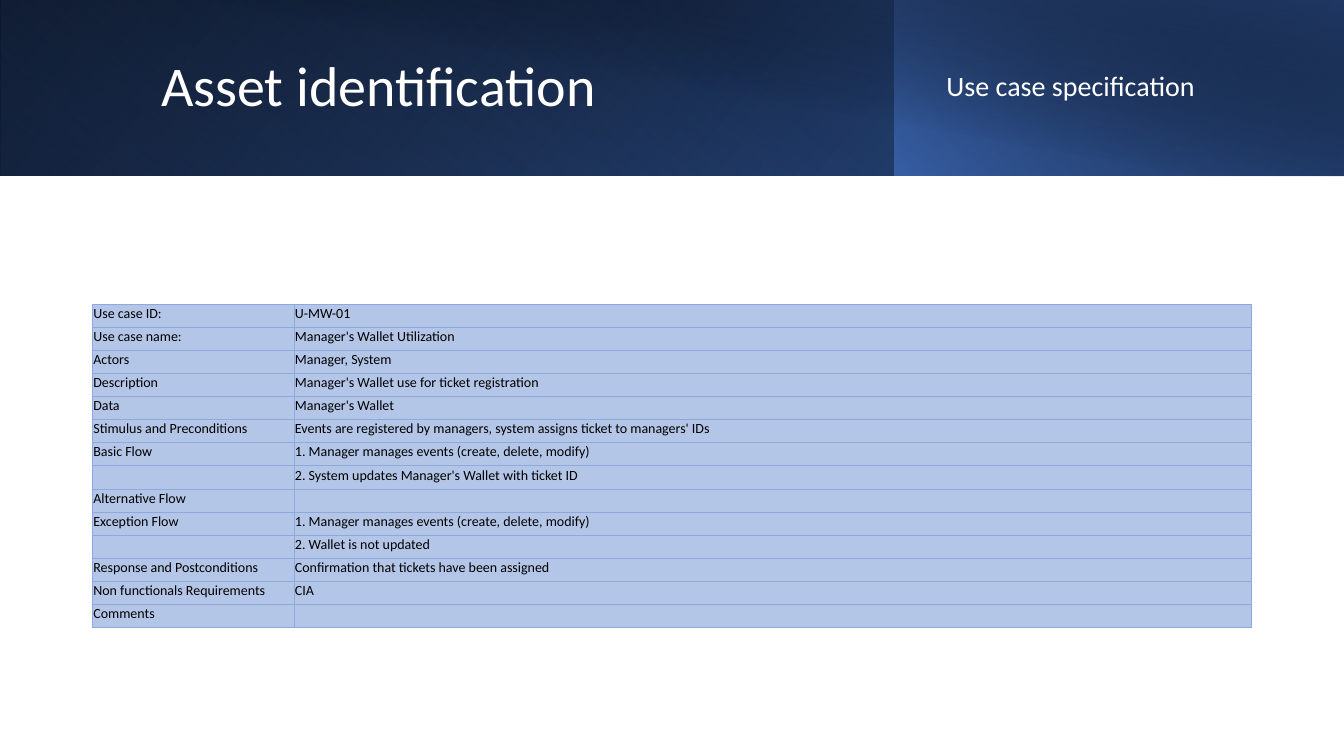
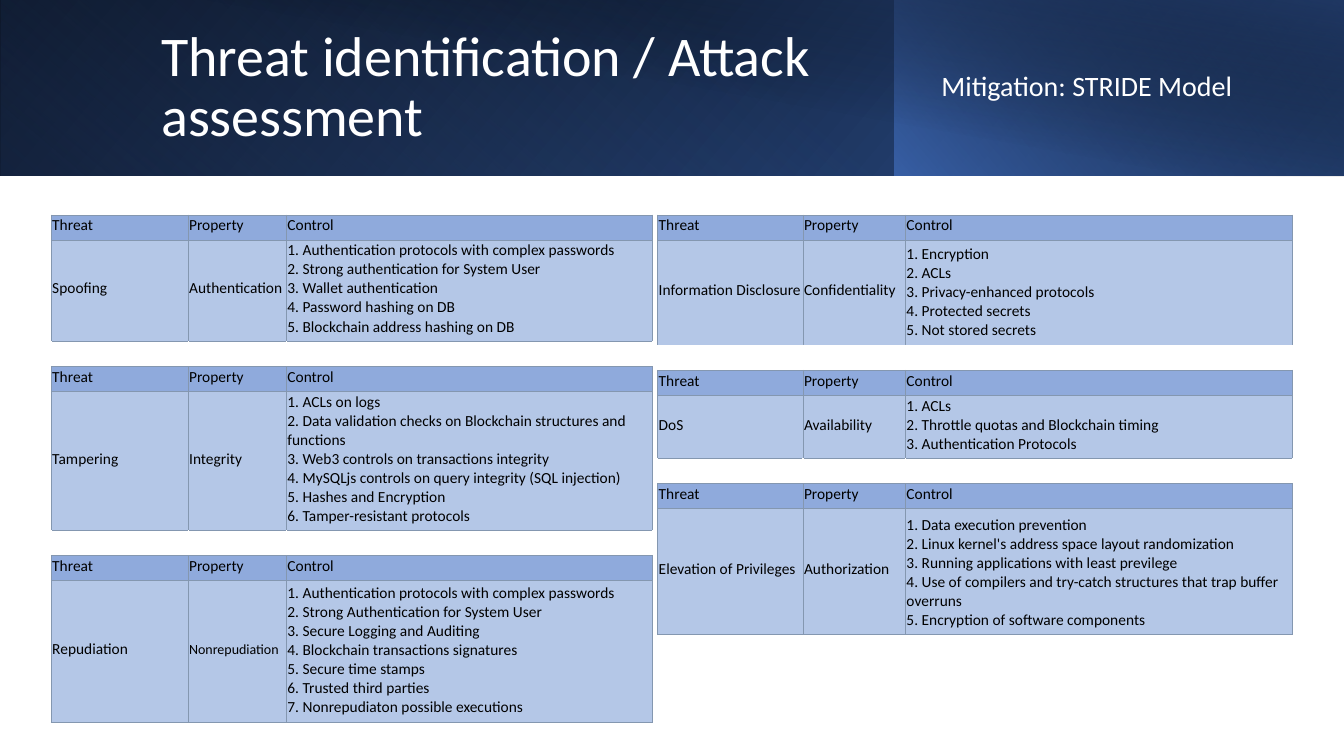
from lxml.etree import SubElement as Sub
from pptx import Presentation as Deck
from pptx.dml.color import RGBColor as Rgb
from pptx.enum.shapes import MSO_SHAPE as Geom
from pptx.enum.text import MSO_ANCHOR as Anchor, MSO_AUTO_SIZE as Auto, PP_ALIGN as Align
from pptx.oxml.ns import qn
from pptx.util import Emu, Inches, Pt

HUES = {
    "black": "000000", "white": "FFFFFF", "royal": "2F5597", "blue": "4472C4", "navy": "203864",
    "sky": "B4C6E7", "edge": "8EA9DB", "head": "8FAADC", "pale": "B4C7E7", "slate": "8497B0",
}
FONT = "Calibri"
COLS, ROWS = 160, 90
BAND, SPLIT = 20.9, 106.5
LINE = 2.95
BANDS = [
    ((0, 0, COLS, BAND), 140, 0, True, [(0, "black", 100), (100, "royal", 100)]),
    ((0, 0, SPLIT, BAND), 230, 180, True, [(20, "blue", 0), (100, "navy", 55)]),
    ((SPLIT, 0, COLS - SPLIT, BAND), 220, 0, True, [(0, "blue", 66), (100, "black", 30)]),
    ((6, 0, COLS - 6, 21), 280, 0, False, [(50, "black", 0), (99, "navy", 52)]),
]
CASE = [
    ("Use case ID:", "U-MW-01"),
    ("Use case name:", "Manager's Wallet Utilization"),
    ("Actors", "Manager, System"),
    ("Description", "Manager's Wallet use for ticket registration"),
    ("Data", "Manager's Wallet"),
    ("Stimulus and Preconditions",
     "Events are registered by managers, system assigns ticket to managers' IDs"),
    ("Basic Flow", "1. Manager manages events (create, delete, modify)"),
    ("", "2. System updates Manager's Wallet with ticket ID"),
    ("Alternative Flow", ""),
    ("Exception Flow", "1. Manager manages events (create, delete, modify)"),
    ("", "2. Wallet is not updated"),
    ("Response and Postconditions", "Confirmation that tickets have been assigned"),
    ("Non functionals Requirements", "CIA"),
    ("Comments", ""),
]
LEFT = [
    (12, "Spoofing", "Authentication", [
        "Authentication protocols with complex passwords",
        "Strong authentication for System User",
        "Wallet authentication",
        "Password hashing on DB",
        "Blockchain address hashing on DB"]),
    (16.5, "Tampering", "Integrity", [
        "ACLs on logs",
        "Data validation checks on Blockchain structures and functions",
        "Web3 controls on transactions integrity",
        "MySQLjs controls on query integrity (SQL injection)",
        "Hashes and Encryption",
        "Tamper-resistant protocols"]),
    (16.8, "Repudiation", "Nonrepudiation", [
        "Authentication protocols with complex passwords",
        "Strong Authentication for System User",
        "Secure Logging and Auditing",
        "Blockchain transactions signatures",
        "Secure time stamps",
        "Trusted third parties",
        "Nonrepudiaton possible executions"]),
]
RIGHT = [
    (12.5, "Information Disclosure", "Confidentiality", [
        "Encryption", "ACLs", "Privacy-enhanced protocols", "Protected secrets",
        "Not stored secrets"]),
    (7.5, "DoS", "Availability", [
        "ACLs", "Throttle quotas and Blockchain timing", "Authentication Protocols"]),
    (15, "Elevation of Privileges", "Authorization", [
        "Data execution prevention",
        "Linux kernel's address space layout randomization",
        "Running applications with least previlege",
        "Use of compilers and try-catch structures that trap buffer overruns",
        "Encryption of software components"]),
]


def put(item, vals):
    """Set each named value on the item."""
    for name, val in vals.items():
        setattr(item, name, val)


class Board:
    """Holds the deck, its style and the current slide."""

    def __init__(self):
        """Start a wide deck."""
        self.deck = Deck()
        put(self.deck, {"slide_width": Inches(COLS / 12), "slide_height": Inches(ROWS / 12)})
        self.unit = self.deck.slide_width / COLS

    def size(self, *spans):
        """Turn grid spans into lengths."""
        return [Emu(round(span * self.unit)) for span in spans]

    def page(self, title, wide, note, spot):
        """Add a slide with its bands, title and side note."""
        self.slide = self.deck.slides.add_slide(self.deck.slide_layouts[5])
        self.shapes = self.slide.shapes
        for band in BANDS:
            self.band(*band)
        head = self.shapes.title
        put(head, dict(zip(("left", "top", "width", "height"), self.size(18, 0, wide, 21))))
        self.shapes._spTree.append(head._element)
        self.label(head, title, 40, {})
        box = self.shapes.add_textbox(*self.size(*spot))
        self.label(box, note, 20, {"space_after": Pt(6)})

    def band(self, spot, turn, spin, flip, stops):
        """Draw one gradient band."""
        bar = self.shapes.add_shape(Geom.RECTANGLE, *self.size(*spot))
        bar.rotation = spin
        prop = bar._element.spPr
        if flip:
            prop.xfrm.set("flipH", "1")
        grad = Sub(prop, qn("a:gradFill"), rotWithShape="1")
        marks = Sub(grad, qn("a:gsLst"))
        for place, hue, clear in stops:
            stop = Sub(marks, qn("a:gs"), pos=str(place * 1000))
            tint = Sub(stop, qn("a:srgbClr"), val=HUES[hue])
            Sub(tint, qn("a:alpha"), val=str(clear * 1000))
        Sub(grad, qn("a:lin"), ang=str(turn * 60000), scaled="0")
        bar.line.fill.background()
        bar.shadow.inherit = False

    def style(self, para, size, hue):
        """Format the runs of a paragraph, or its empty line."""
        for run in para.runs:
            put(run.font, {"name": FONT, "size": Pt(size)})
            run.font.color.rgb = Rgb.from_string(HUES[hue])
        if not para.runs:
            Sub(para._p, qn("a:endParaRPr"), sz=str(size * 100))

    def label(self, box, text, size, extra):
        """Write white text in the middle of a box."""
        frame = box.text_frame
        frame.text = text
        put(frame, {"word_wrap": True, "auto_size": Auto.NONE, "vertical_anchor": Anchor.MIDDLE})
        para = frame.paragraphs[0]
        put(para, {"alignment": Align.LEFT, "line_spacing": 0.9, **extra})
        self.style(para, size, "white")

    def grid(self, left, top, wides, highs):
        """Add a plain table with the given columns and rows."""
        spot = self.size(left, top, sum(wides), sum(highs))
        table = self.shapes.add_table(len(highs), len(wides), *spot).table
        put(table, {"first_row": False, "horz_banding": False})
        for col, wide in zip(table.columns, self.size(*wides)):
            col.width = wide
        for row, high in zip(table.rows, self.size(*highs)):
            row.height = high
        return table

    def cell(self, cell, text, size, fill, edge, sides="LRTB", anchor=Anchor.BOTTOM):
        """Fill, frame and write one table cell."""
        cell.text = text
        near, low = self.size(0.12, 0.6)
        put(cell, {"margin_left": near, "margin_top": near, "margin_right": near,
                   "margin_bottom": low, "vertical_anchor": anchor})
        for para in cell.text_frame.paragraphs:
            self.style(para, size, "black")
        prop = cell._tc.get_or_add_tcPr()
        for side in sides:
            line = Sub(prop, qn("a:ln" + side), w=str(Pt(0.5)))
            Sub(Sub(line, qn("a:solidFill")), qn("a:srgbClr"), val=HUES[edge])
        if fill:
            cell.fill.solid()
            cell.fill.fore_color.rgb = Rgb.from_string(HUES[fill])
        else:
            cell.fill.background()

    def case(self, left, top, wides, rows):
        """Add the table of a use case."""
        table = self.grid(left, top, wides, [2.75] * len(rows))
        for row, texts in zip(table.rows, rows):
            for cell, text in zip(row.cells, texts):
                self.cell(cell, text, 10, "sky", "edge")

    def threats(self, left, wides, blocks, loose=False):
        """Add a table of threat blocks, the first one loose at its foot or not."""
        highs = [high for block in blocks for high in (LINE, block[0], LINE)][:-1]
        table = self.grid(left, 25.6, wides, highs)
        for num, (_, threat, trait, steps) in enumerate(blocks):
            free = loose and num == 0
            body = "\n".join(f"{pos}. {step}" for pos, step in enumerate(steps, 1))
            texts = zip(("Threat", "Property", "Control"), (threat, trait, body))
            for col, (name, text) in enumerate(texts):
                size = 10 if text == "Nonrepudiation" else 11
                anchor = Anchor.BOTTOM if text == body else Anchor.MIDDLE
                self.cell(table.cell(3 * num, col), name, 11, "head", "slate")
                self.cell(table.cell(3 * num + 1, col), text, size, "pale", "slate",
                          "LRT" if free else "LRTB", anchor)
                if num < len(blocks) - 1:
                    self.cell(table.cell(3 * num + 2, col), "", 11, None, "slate",
                              "B" if free else "TB")


def main():
    """Build and save the deck."""
    board = Board()
    board.page("Asset identification", 129.8, "Use case specification", (111.5, 0, 43.5, BAND))
    board.case(11, 36.2, (24, 114), CASE)
    board.page("Threat identification / Attack assessment", 88.5, "Mitigation: STRIDE Model",
               (110.9, 0, 44.6, BAND))
    board.threats(6.1, (16.3, 11.7, 43.6), LEFT)
    board.threats(78.3, (17.3, 12.2, 46.1), RIGHT, loose=True)
    board.deck.save("out.pptx")


if __name__ == "__main__":
    main()
